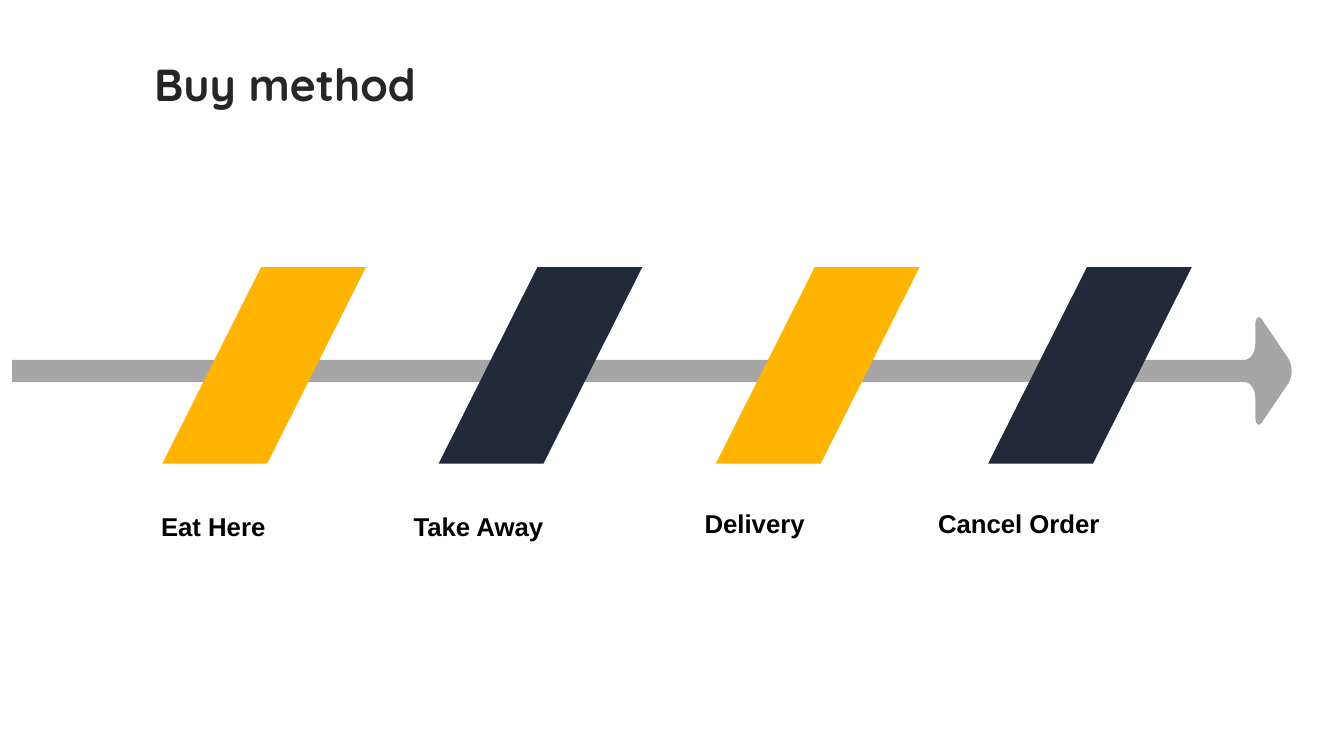
from dataclasses import dataclass

import pptx
import pptx.dml.color
import pptx.enum.shapes
import pptx.enum.text
import pptx.util

PX = 9144
AMBER = pptx.dml.color.RGBColor(0xFF, 0xB4, 0x01)
NAVY = pptx.dml.color.RGBColor(0x21, 0x2A, 0x39)
GREY = pptx.dml.color.RGBColor(0xA6, 0xA6, 0xA6)
CHARCOAL = pptx.dml.color.RGBColor(0x26, 0x26, 0x26)
BLACK = pptx.dml.color.RGBColor(0, 0, 0)

STRIPE_TOP, STRIPE_WIDTH, STRIPE_HEIGHT, STRIPE_SLANT = 265, 202, 195, 98
LABEL_WIDTH, LABEL_HEIGHT = 223, 41
ARROW_AXIS = 368
CURVE_STEPS = 12

Point = tuple[float, float]


@dataclass(frozen=True)
class Method:
    name: str
    stripe_left: int
    label_left: int
    label_top: int
    color: pptx.dml.color.RGBColor


METHODS = (
    Method("Eat Here", 161, 100, 502, AMBER),
    Method("Take Away", 435, 363, 502, NAVY),
    Method("Delivery", 710, 637, 499, AMBER),
    Method("Cancel Order", 980, 899, 499, NAVY),
)


def paint(shape, color: pptx.dml.color.RGBColor) -> None:
    shape.shadow.inherit = False
    shape.fill.solid()
    shape.fill.fore_color.rgb = color
    shape.line.fill.background()


def curve(start: Point, pull: Point, push: Point, end: Point) -> list[Point]:
    points = []
    for step in range(CURVE_STEPS + 1):
        t = step / CURVE_STEPS
        weights = ((1 - t) ** 3, 3 * t * (1 - t) ** 2, 3 * t * t * (1 - t), t ** 3)
        corners = (start, pull, push, end)
        points.append((
            sum(weight * x for weight, (x, _) in zip(weights, corners)),
            sum(weight * y for weight, (_, y) in zip(weights, corners)),
        ))
    return points


def draw_arrow(page) -> None:
    tip = curve((1278, 380), (1282, 373), (1282, 363), (1278, 356))
    barb = curve((1253, 319), (1249, 312), (1245, 314), (1245, 323))
    neck = curve((1245, 341), (1245, 350), (1240, 357), (1234, 357))
    upper = [*barb, *neck, (12, 357)]
    lower = [(x, 2 * ARROW_AXIS - y) for x, y in reversed(upper)]
    outline = [(round(x * PX), round(y * PX)) for x, y in tip + upper + lower]
    builder = page.shapes.build_freeform(*outline[0], scale=1.0)
    builder.add_line_segments(outline[1:], close=True)
    paint(builder.convert_to_shape(), GREY)


def draw_text(page, text: str, left: int, top: int, width: int, height: int,
              font: str, size: float, color: pptx.dml.color.RGBColor,
              align: pptx.enum.text.PP_ALIGN) -> None:
    box = page.shapes.add_textbox(left * PX, top * PX, width * PX, height * PX)
    box.text_frame.word_wrap = True
    box.text_frame.text = text
    para = box.text_frame.paragraphs[0]
    para.alignment = align
    span = para.runs[0]
    span.font.name = font
    span.font.size = pptx.util.Pt(size)
    span.font.bold = True
    span.font.color.rgb = color


def draw_method(page, method: Method) -> None:
    stripe = page.shapes.add_shape(
        pptx.enum.shapes.MSO_SHAPE.PARALLELOGRAM, method.stripe_left * PX,
        STRIPE_TOP * PX, STRIPE_WIDTH * PX, STRIPE_HEIGHT * PX)
    stripe.adjustments[0] = STRIPE_SLANT / STRIPE_HEIGHT
    paint(stripe, method.color)
    draw_text(page, method.name, method.label_left, method.label_top,
              LABEL_WIDTH, LABEL_HEIGHT, "Arial", 18.4, BLACK,
              pptx.enum.text.PP_ALIGN.CENTER)


def main() -> None:
    deck = pptx.Presentation()
    deck.slide_width = 1333 * PX
    deck.slide_height = 750 * PX
    page = deck.slides.add_slide(deck.slide_layouts[6])
    draw_text(page, "Buy method", 143, 51, 414, 64, "Quicksand", 32, CHARCOAL,
              pptx.enum.text.PP_ALIGN.LEFT)
    draw_arrow(page)
    for method in METHODS:
        draw_method(page, method)
    deck.save("out.pptx")


if __name__ == "__main__":
    main()
